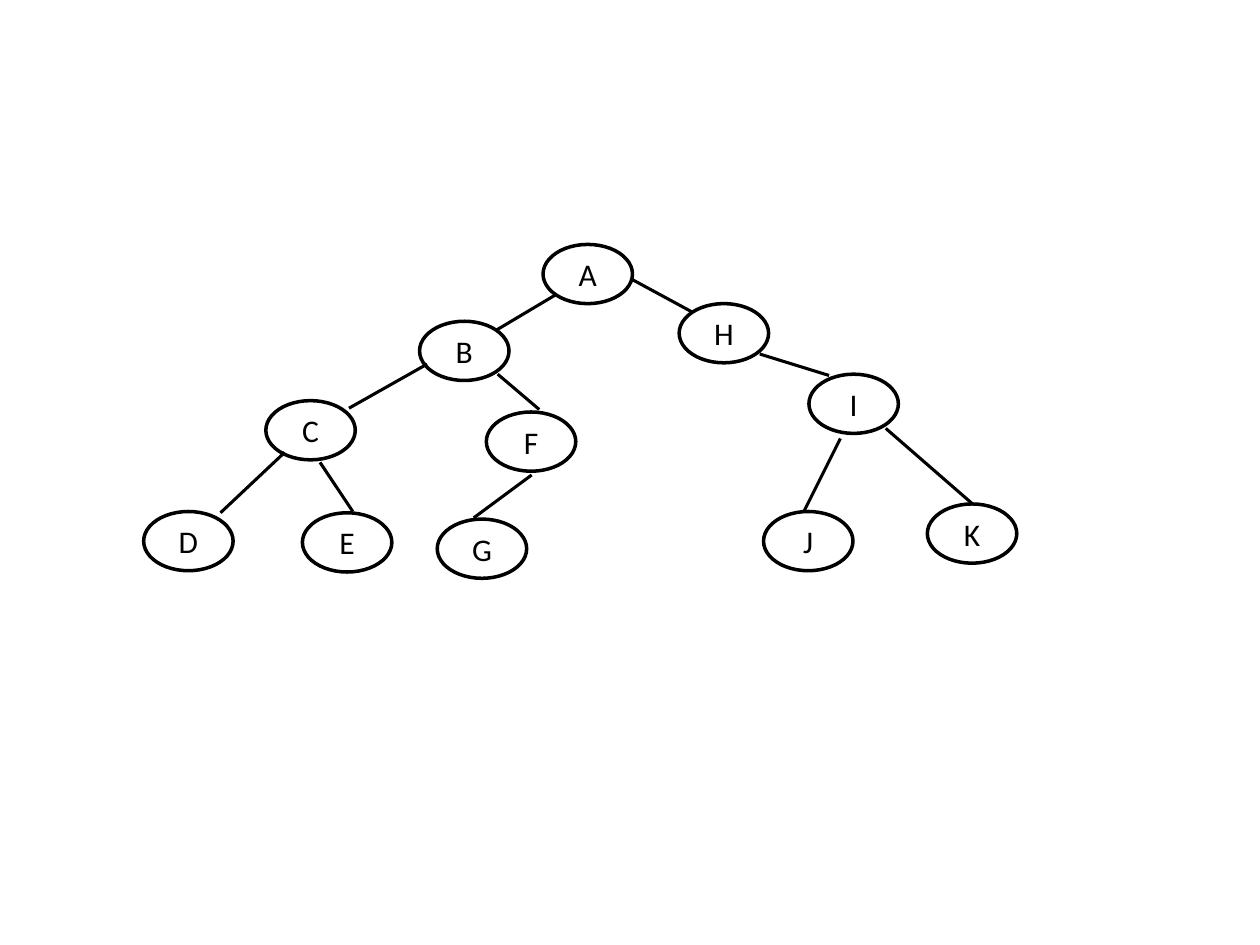
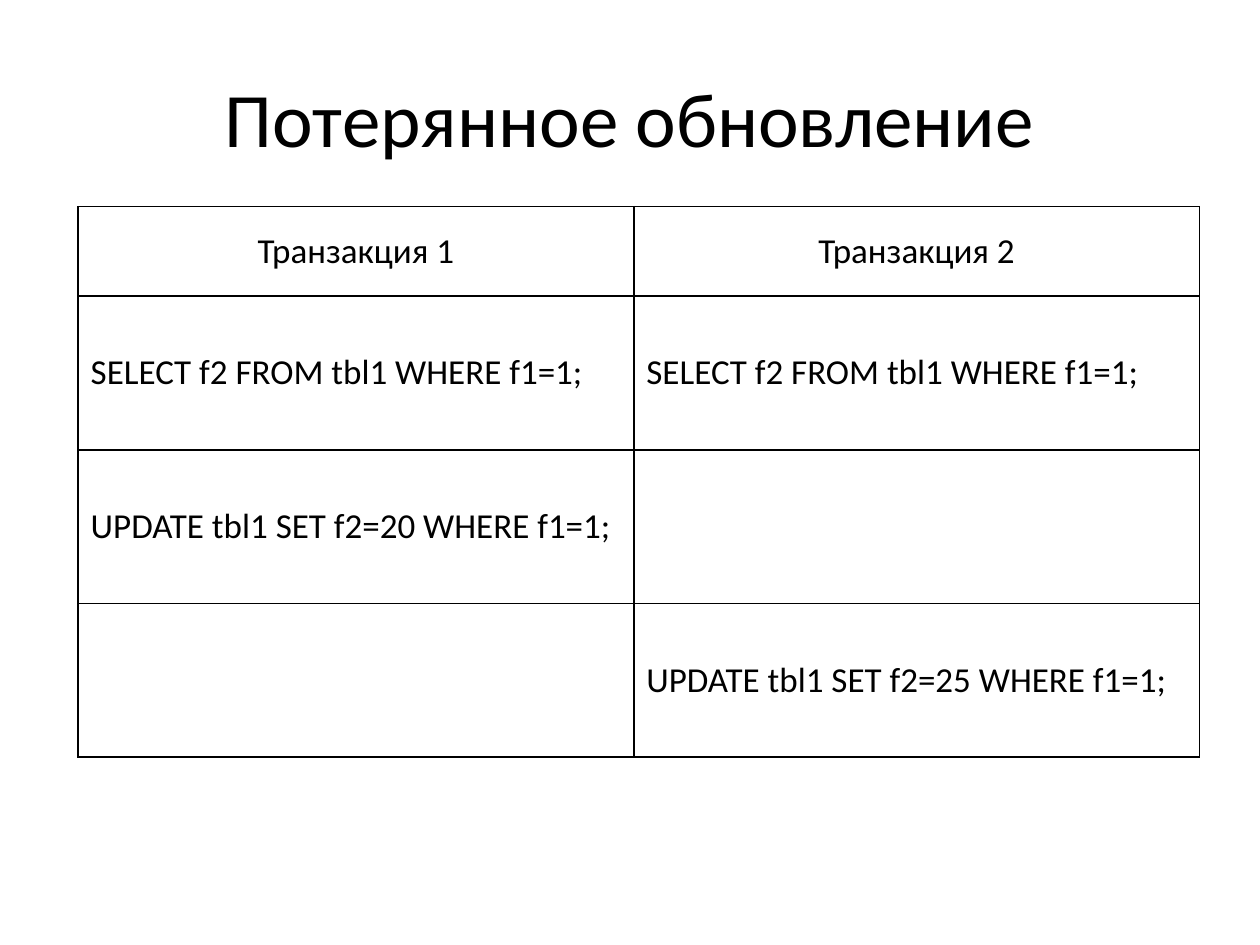
from dataclasses import dataclass

from lxml import etree
from pptx import Presentation
from pptx import util as u
from pptx.dml.color import RGBColor
from pptx.enum import shapes, text
from pptx.oxml import ns


@dataclass(frozen=True)
class Theme:
    ink: RGBColor = RGBColor(0, 0, 0)
    paper: RGBColor = RGBColor(255, 255, 255)
    font: str = "Calibri"
    title: int = 44
    cell: int = 20
    node: int = 18
    node_line: float = 2
    edge_line: float = 1.75
    border: float = 1


class Deck:
    """Draw slides in one shared style."""

    def __init__(self, theme):
        self.theme = theme
        self.file = Presentation()
        self.file.slide_width, self.file.slide_height = u.Inches(10), u.Inches(7.5)
        self.slide = None

    def new_slide(self):
        self.slide = self.file.slides.add_slide(self.file.slide_layouts[6])

    def label(self, frame, words, size, align):
        paragraph = frame.paragraphs[0]
        paragraph.text = words
        paragraph.alignment = align
        style = {"name": self.theme.font, "size": u.Pt(size)}
        for key, value in style.items():
            setattr(paragraph.font, key, value)
        paragraph.font.color.rgb = self.theme.ink

    def paint(self, item):
        item.fill.solid()
        item.fill.fore_color.rgb = self.theme.paper

    def stroke(self, item, width):
        item.line.color.rgb = self.theme.ink
        item.line.width = u.Pt(width)

    def title(self, words):
        heading = self.slide.shapes.add_textbox(*map(u.Inches, (0.5, 0.3, 9, 1.25)))
        frame = heading.text_frame
        frame.word_wrap = True
        frame.vertical_anchor = text.MSO_ANCHOR.MIDDLE
        self.label(frame, words, self.theme.title, text.PP_ALIGN.CENTER)

    def node(self, letter, left, top):
        oval = self.slide.shapes.add_shape(
            shapes.MSO_SHAPE.OVAL, *map(u.Inches, (left, top, 0.71, 0.47)))
        oval.shadow.inherit = False
        self.paint(oval)
        self.stroke(oval, self.theme.node_line)
        oval.text_frame.vertical_anchor = text.MSO_ANCHOR.MIDDLE
        self.label(oval.text_frame, letter, self.theme.node, text.PP_ALIGN.CENTER)

    def edge(self, *ends):
        branch = self.slide.shapes.add_connector(
            shapes.MSO_CONNECTOR.STRAIGHT, *map(u.Inches, ends))
        self.stroke(branch, self.theme.edge_line)
        etree.SubElement(branch._element.spPr, ns.qn("a:effectLst"))

    def border(self, cell):
        properties = cell._tc.get_or_add_tcPr()
        for side in ("lnL", "lnR", "lnT", "lnB"):
            rule = etree.SubElement(properties, ns.qn(f"a:{side}"),
                                    w=str(u.Pt(self.theme.border)))
            fill = etree.SubElement(rule, ns.qn("a:solidFill"))
            etree.SubElement(fill, ns.qn("a:srgbClr"), val=str(self.theme.ink))

    def table(self, left, top, widths, heights, rows):
        grid = self.slide.shapes.add_table(
            len(heights), len(widths),
            *map(u.Inches, (left, top, sum(widths), sum(heights)))).table
        grid.first_row = grid.horz_banding = False
        for column, width in zip(grid.columns, widths):
            column.width = u.Inches(width)
        for row, height in zip(grid.rows, heights):
            row.height = u.Inches(height)
        for r, row in enumerate(rows):
            align = text.PP_ALIGN.LEFT if r else text.PP_ALIGN.CENTER
            for c, words in enumerate(row):
                cell = grid.cell(r, c)
                self.border(cell)
                self.paint(cell)
                cell.vertical_anchor = text.MSO_ANCHOR.MIDDLE
                self.label(cell.text_frame, words, self.theme.cell, align)


def tree_slide(deck):
    nodes = {
        "A": (4.31, 1.94), "H": (5.39, 2.41), "I": (6.42, 2.97), "G": (3.47, 4.12),
        "E": (2.4, 4.07), "D": (1.14, 4.06), "F": (3.86, 3.27), "C": (2.11, 3.18),
        "B": (3.33, 2.55), "J": (6.06, 4.06), "K": (7.36, 4),
    }
    edges = {
        "AB": (4.41, 2.34, 3.94, 2.62), "BC": (3.39, 2.89, 2.77, 3.24),
        "BF": (3.95, 2.97, 4.28, 3.25), "CD": (2.26, 3.59, 1.75, 4.07),
        "HA": (5.5, 2.48, 5.02, 2.22), "IH": (6.58, 2.98, 6.03, 2.81),
        "FG": (4.22, 3.77, 3.76, 4.11), "IK": (7.03, 3.4, 7.72, 4),
        "IJ": (6.67, 3.48, 6.38, 4.06), "CE": (2.54, 3.67, 2.8, 4.06),
    }
    deck.new_slide()
    for letter, place in nodes.items():
        deck.node(letter, *place)
    for ends in edges.values():
        deck.edge(*ends)


def lost_update_slide(deck):
    select = "SELECT f2 FROM tbl1 WHERE f1=1;"
    deck.new_slide()
    deck.title("Потерянное обновление")
    deck.table(0.62, 1.64, (4.41, 4.49), (0.71,) + (1.22,) * 3, [
        ("Транзакция 1", "Транзакция 2"),
        (select, select),
        ("UPDATE tbl1 SET f2=20 WHERE f1=1;", ""),
        ("", "UPDATE tbl1 SET f2=25 WHERE f1=1;"),
    ])


def main():
    deck = Deck(Theme())
    tree_slide(deck)
    lost_update_slide(deck)
    deck.file.save("out.pptx")


if __name__ == "__main__":
    main()
